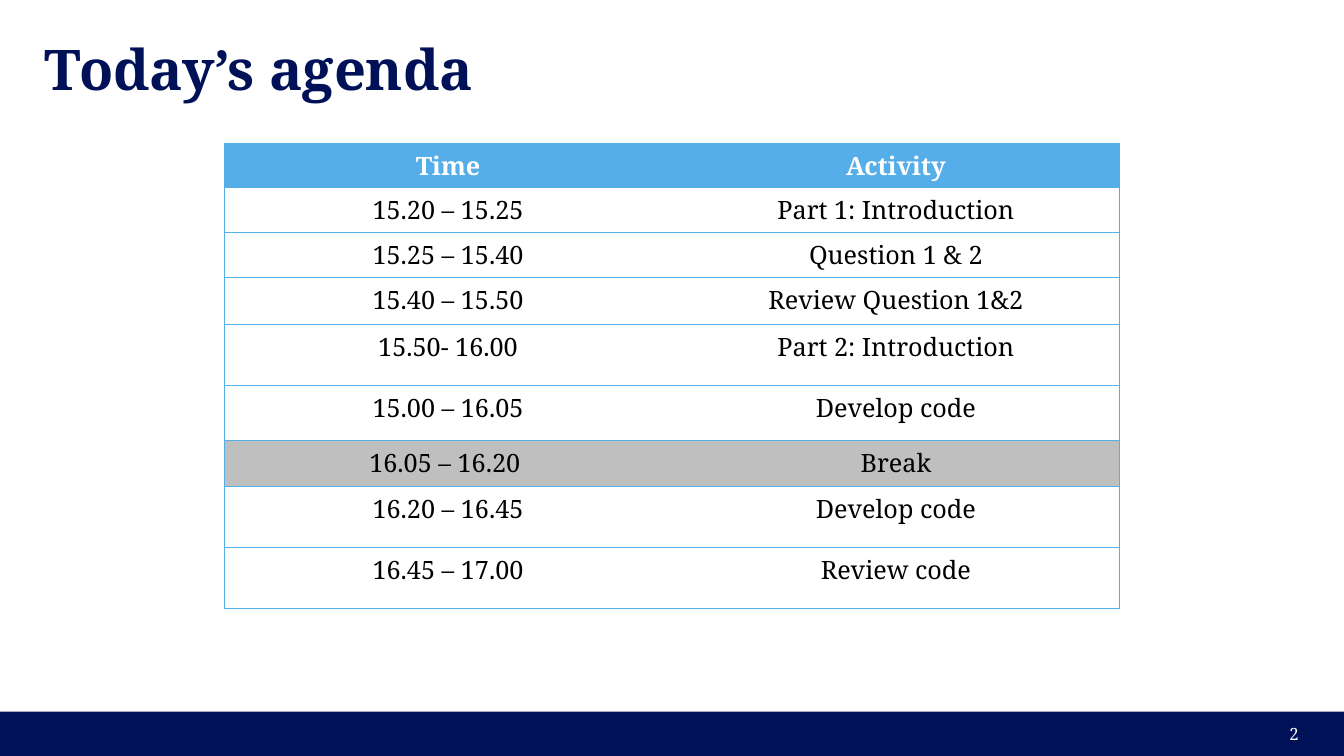
"""Build the agenda slide: a title, a timetable and a footer bar with the page number."""
from dataclasses import dataclass

from lxml import etree
from pptx import Presentation
from pptx.dml.color import RGBColor
from pptx.enum.shapes import MSO_SHAPE
from pptx.enum.text import MSO_ANCHOR, MSO_AUTO_SIZE, PP_ALIGN
from pptx.oxml.ns import qn
from pptx.util import Cm, Pt

RECTANGLE = MSO_SHAPE.RECTANGLE
MIDDLE = MSO_ANCHOR.MIDDLE
NO_AUTOFIT = MSO_AUTO_SIZE.NONE
LEFT, CENTER, RIGHT = PP_ALIGN.LEFT, PP_ALIGN.CENTER, PP_ALIGN.RIGHT


@dataclass(frozen=True)
class Theme:
    font: str = "Noto Serif"
    navy: str = "001158"
    sky: str = "56AEE9"
    grey: str = "BFBFBF"
    white: str = "FFFFFF"
    black: str = "000000"
    title_size: int = 40
    table_size: int = 18
    number_size: int = 12
    border_width: float = 0.75


theme = Theme()


def write(text_frame, text, size, color, alignment, bold=False):
    paragraph = text_frame.paragraphs[0]
    paragraph.alignment = alignment
    run = paragraph.add_run()
    run.text = text
    run.font.name = theme.font
    run.font.size = Pt(size)
    run.font.bold = bold
    run.font.color.rgb = RGBColor.from_string(color)


def set_borders(cell, visible_sides):
    properties = cell._tc.get_or_add_tcPr()
    for position, side in enumerate("LRTB"):
        line = etree.Element(qn(f"a:ln{side}"), w=str(Pt(theme.border_width)))
        if side in visible_sides:
            fill = etree.SubElement(line, qn("a:solidFill"))
            etree.SubElement(fill, qn("a:srgbClr"), val=theme.sky)
        else:
            etree.SubElement(line, qn("a:noFill"))
        properties.insert(position, line)


presentation = Presentation()
presentation.slide_width = Cm(33.88)
presentation.slide_height = Cm(19.05)
slide = presentation.slides.add_slide(presentation.slide_layouts[5])

footer = slide.shapes.add_shape(RECTANGLE, 0, Cm(17.93), presentation.slide_width, Cm(1.12))
footer.shadow.inherit = False
footer.fill.solid()
footer.fill.fore_color.rgb = RGBColor.from_string(theme.navy)
footer.line.fill.background()

title = slide.shapes.title
title.left, title.top, title.width, title.height = Cm(1.12), Cm(1.12), Cm(31.65), Cm(1.19)
title_frame = title.text_frame
title_frame.margin_left = title_frame.margin_right = 0
title_frame.margin_top = title_frame.margin_bottom = 0
title_frame.vertical_anchor = MIDDLE
title_frame.auto_size = NO_AUTOFIT
title_frame.word_wrap = True
write(title_frame, "Today’s agenda", theme.title_size, theme.navy, LEFT, bold=True)

page_number = slide.shapes.add_textbox(Cm(25.37), Cm(17.98), Cm(7.62), Cm(1.02))
page_number.text_frame.word_wrap = True
page_number.text_frame.vertical_anchor = MIDDLE
write(page_number.text_frame, "2", theme.number_size, theme.white, RIGHT)

agenda = [
    ("Time", "Activity", 1.12),
    ("15.20 – 15.25", "Part 1: Introduction", 1.13),
    ("15.25 – 15.40", "Question 1 & 2", 1.13),
    ("15.40 – 15.50", "Review Question 1&2", 1.19),
    ("15.50- 16.00", "Part 2: Introduction", 1.54),
    ("15.00 – 16.05", "Develop code", 1.39),
    ("16.05 – 16.20 ", "Break", 1.16),
    ("16.20 – 16.45", "Develop code", 1.53),
    ("16.45 – 17.00", "Review code", 1.53),
]
table_height = sum(height for _, _, height in agenda)
table = slide.shapes.add_table(
    len(agenda), 2, Cm(5.65), Cm(3.61), Cm(22.58), Cm(table_height)
).table
table.horz_banding = False

for row_index, (time, activity, height) in enumerate(agenda):
    table.rows[row_index].height = Cm(height)
    is_header = row_index == 0
    if is_header:
        fill_color = theme.sky
    elif activity == "Break":
        fill_color = theme.grey
    else:
        fill_color = theme.white
    text_color = theme.white if is_header else theme.black
    for column_index, (text, outer_side) in enumerate(((time, "L"), (activity, "R"))):
        cell = table.cell(row_index, column_index)
        cell.fill.solid()
        cell.fill.fore_color.rgb = RGBColor.from_string(fill_color)
        set_borders(cell, outer_side + "TB")
        write(cell.text_frame, text, theme.table_size, text_color, CENTER, is_header)

presentation.save("out.pptx")
